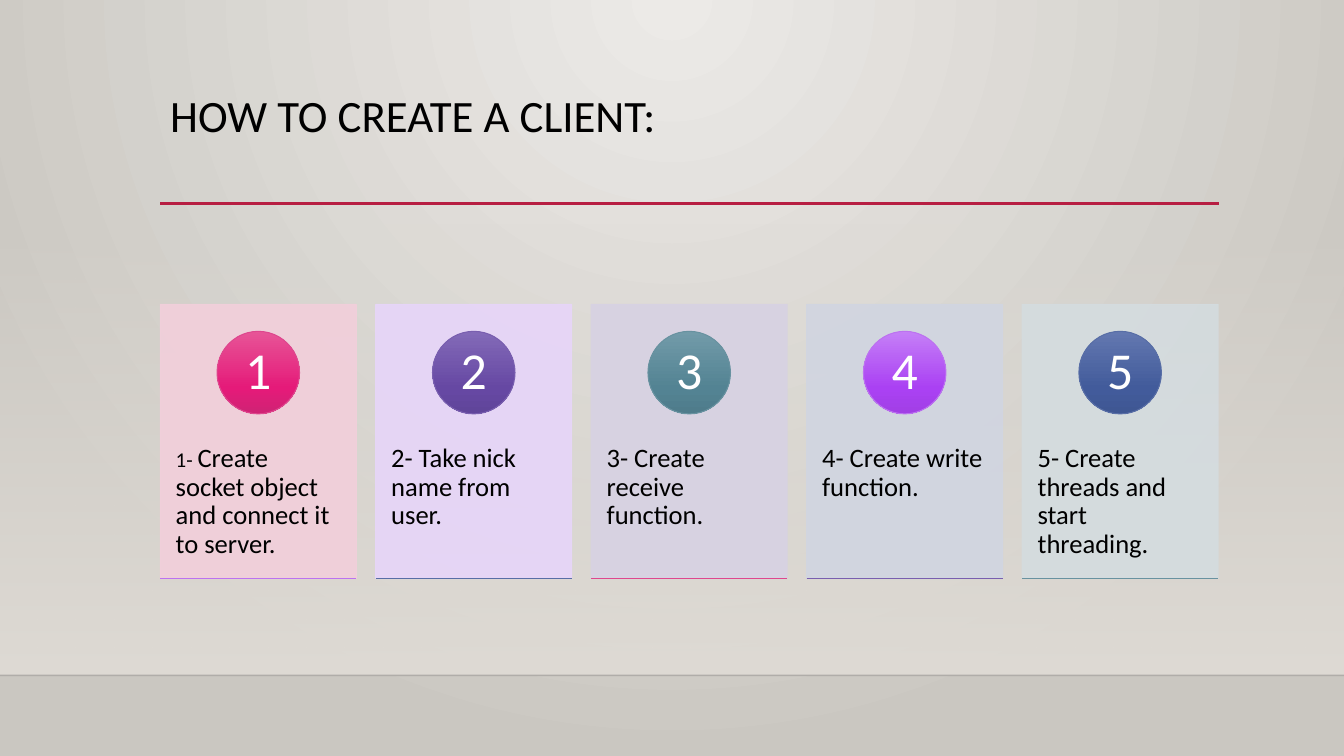
from dataclasses import dataclass

from lxml.etree import SubElement
from pptx import Presentation
from pptx.dml.color import RGBColor
from pptx.enum.shapes import MSO_CONNECTOR, MSO_SHAPE
from pptx.enum.text import MSO_ANCHOR, MSO_AUTO_SIZE, PP_ALIGN
from pptx.oxml import parse_xml
from pptx.oxml.ns import nsdecls, qn
from pptx.util import Cm, Pt


@dataclass(frozen=True)
class Theme:
    font: str = "Calibri"
    title_size: float = 32
    number_size: float = 37
    body_size: float = 19
    prefix_size: float = 15
    ink: str = "000000"
    light: str = "FFFFFF"
    rule: str = "B71E42"
    floor_line: str = "000001"
    backdrop: tuple = ((0, "ECEAE7", 100), (100, "CAC7C1", 100))
    haze: tuple = ((0, "DFDBD5", 0), (100, "DFDBD5", 100))
    # Each accent: gradient top, middle, bottom, outline
    accents: tuple = (
        ("E75597", "E51A79", "CF2374", "DE478E"),
        ("836AB8", "6648A3", "60459A", "795FAF"),
        ("729BA9", "538393", "4F7C8B", "6892A0"),
        ("C57FF7", "AA41F3", "A13FE5", "BC72F0"),
        ("6378B0", "425B9B", "3F5793", "586EA6"),
    )
    card_tints: tuple = ("F2CFDB", "E7D5F9", "D7D2E3", "D1D5E1", "D4DCDF")


THEME = Theme()
SLIDE_WIDTH, SLIDE_HEIGHT = Cm(33.87), Cm(19.05)
MARGIN, CONTENT_WIDTH = Cm(4.04), Cm(26.67)
STEPS = (
    (("1- ", THEME.prefix_size),
     ("Create socket object and connect it to server.", THEME.body_size)),
    (("2- Take nick name from user.", THEME.body_size),),
    (("3- Create receive function.", THEME.body_size),),
    (("4- Create write function.", THEME.body_size),),
    (("5- Create threads and start threading.", THEME.body_size),),
)


def write_text(shape, runs, color=THEME.ink, align=PP_ALIGN.LEFT,
               anchor=MSO_ANCHOR.TOP, insets=(0, 0, 0, 0)):
    """Fill a shape with one paragraph of (text, size) runs."""
    frame = shape.text_frame
    frame.word_wrap = True
    frame.auto_size = MSO_AUTO_SIZE.NONE
    frame.vertical_anchor = anchor
    (frame.margin_left, frame.margin_top,
     frame.margin_right, frame.margin_bottom) = insets
    paragraph = frame.paragraphs[0]
    paragraph.alignment = align
    paragraph.line_spacing = 0.9
    for text, size in runs:
        run = paragraph.add_run()
        run.text = text
        run.font.name = THEME.font
        run.font.size = Pt(size)
        run.font.color.rgb = RGBColor.from_string(color)


def set_alpha(fill_owner, percent):
    for color in fill_owner.iter(qn("a:srgbClr")):
        SubElement(color, qn("a:alpha")).set("val", str(percent * 1000))


def set_gradient(fill, owner, stops, radial=False):
    """Replace a solid fill with a vertical or a top-centred radial gradient."""
    fill.solid()
    stop_xml = "".join(
        f'<a:gs pos="{position * 1000}"><a:srgbClr val="{color}">'
        f'<a:alpha val="{alpha * 1000}"/></a:srgbClr></a:gs>'
        for position, color, alpha in stops)
    direction = ('<a:path path="circle"><a:fillToRect l="43000" t="0" '
                 'r="43000" b="100000"/></a:path>' if radial
                 else '<a:lin ang="5400000" scaled="0"/>')
    gradient = parse_xml(f'<a:gradFill {nsdecls("a")} rotWithShape="1">'
                         f'<a:gsLst>{stop_xml}</a:gsLst>{direction}</a:gradFill>')
    solid = next(owner.iter(qn("a:solidFill")))
    solid.getparent().replace(solid, gradient)


def add_block(slide, kind, left, top, width, height, outline=None):
    block = slide.shapes.add_shape(kind, left, top, width, height)
    block.shadow.inherit = False
    if outline:
        block.line.color.rgb = RGBColor.from_string(outline)
        block.line.width = Pt(0.75)
    else:
        block.line.fill.background()
    return block


def add_rule(slide, left, top, width, color, weight, alpha=100):
    rule = slide.shapes.add_connector(
        MSO_CONNECTOR.STRAIGHT, left, top, left + width, top)
    rule.line.width = Pt(weight)
    rule.line.color.rgb = RGBColor.from_string(color)
    properties = rule._element.spPr
    if alpha < 100:
        set_alpha(properties, alpha)
    SubElement(properties, qn("a:effectLst"))


def add_backdrop(slide):
    set_gradient(slide.background.fill, slide._element.cSld, THEME.backdrop, radial=True)
    floor = Cm(17.02)
    haze_top = Cm(5.61)
    haze = add_block(slide, MSO_SHAPE.RECTANGLE, 0, haze_top, SLIDE_WIDTH, floor - haze_top)
    set_gradient(haze.fill, haze._element.spPr, THEME.haze)
    add_rule(slide, 0, floor, SLIDE_WIDTH, THEME.floor_line, 1, alpha=20)


def add_heading(slide, left, top, width, height):
    title = slide.shapes.title
    title.left, title.top, title.width, title.height = left, top, width, height
    write_text(title, [("HOW TO CREATE A CLIENT:", THEME.title_size)],
               insets=(Cm(0.25), Cm(0.13), Cm(0.25), Cm(0.13)))
    add_rule(slide, left, top + height - Cm(0.03), width, THEME.rule, 2.5)


def add_step_card(slide, index, runs, left, top, width, height):
    # Tinted card
    tint = THEME.card_tints[index]
    card = add_block(slide, MSO_SHAPE.RECTANGLE, left, top, width, height, outline=tint)
    card.fill.solid()
    card.fill.fore_color.rgb = RGBColor.from_string(tint)
    set_alpha(card._element.spPr, 90)

    # Instruction below the badge
    text_offset = Cm(3.53)
    instruction = slide.shapes.add_textbox(
        left, top + text_offset, width, height - text_offset)
    write_text(instruction, runs, insets=(Cm(0.39), 0, Cm(0.39), 0))

    # Numbered badge
    diameter = Cm(2.08)
    start, middle, end, outline = THEME.accents[index]
    badge = add_block(slide, MSO_SHAPE.OVAL, left + (width - diameter) // 2,
                      top + Cm(0.68), diameter, diameter, outline=outline)
    set_gradient(badge.fill, badge._element.spPr,
                 ((0, start, 100), (69, middle, 100), (100, end, 100)))
    write_text(badge, [(str(index + 1), THEME.number_size)], color=THEME.light,
               align=PP_ALIGN.CENTER, anchor=MSO_ANCHOR.MIDDLE)

    # Base line takes the accent three places further on
    base_color = THEME.accents[(index + 3) % len(THEME.accents)][-1]
    add_rule(slide, left, top + height, width, base_color, 0.75)


def add_steps(slide, left, top, width, height):
    card_width = Cm(4.94)
    pitch = (width - card_width) // (len(STEPS) - 1)
    for index, runs in enumerate(STEPS):
        add_step_card(slide, index, runs, left + index * pitch, top, card_width, height)


def main():
    presentation = Presentation()
    presentation.slide_width, presentation.slide_height = SLIDE_WIDTH, SLIDE_HEIGHT
    slide = presentation.slides.add_slide(presentation.slide_layouts[5])
    add_backdrop(slide)
    add_heading(slide, MARGIN, Cm(2.24), CONTENT_WIDTH, Cm(2.92))
    add_steps(slide, MARGIN, Cm(7.67), Cm(26.66), Cm(6.91))
    presentation.save("out.pptx")


if __name__ == "__main__":
    main()
